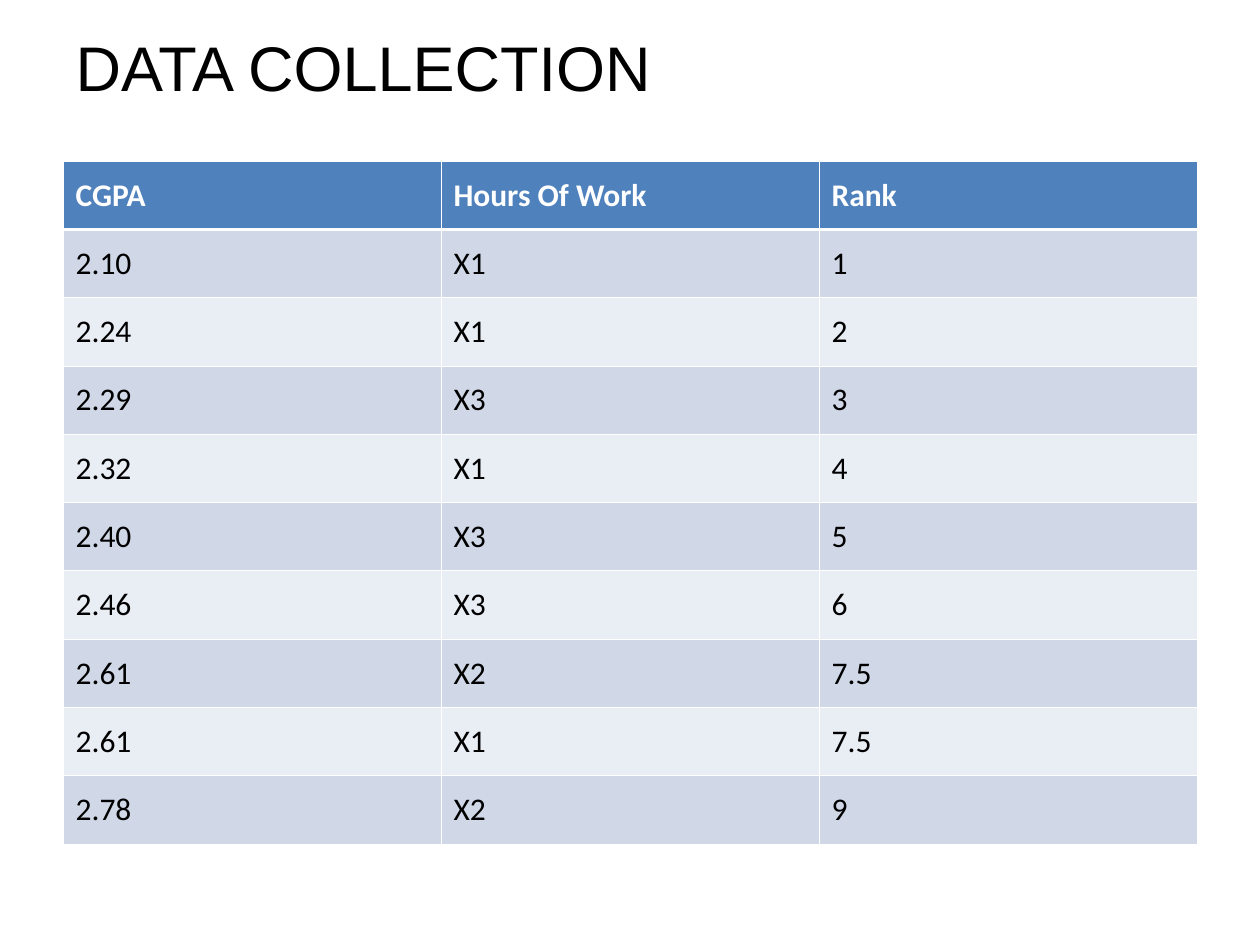
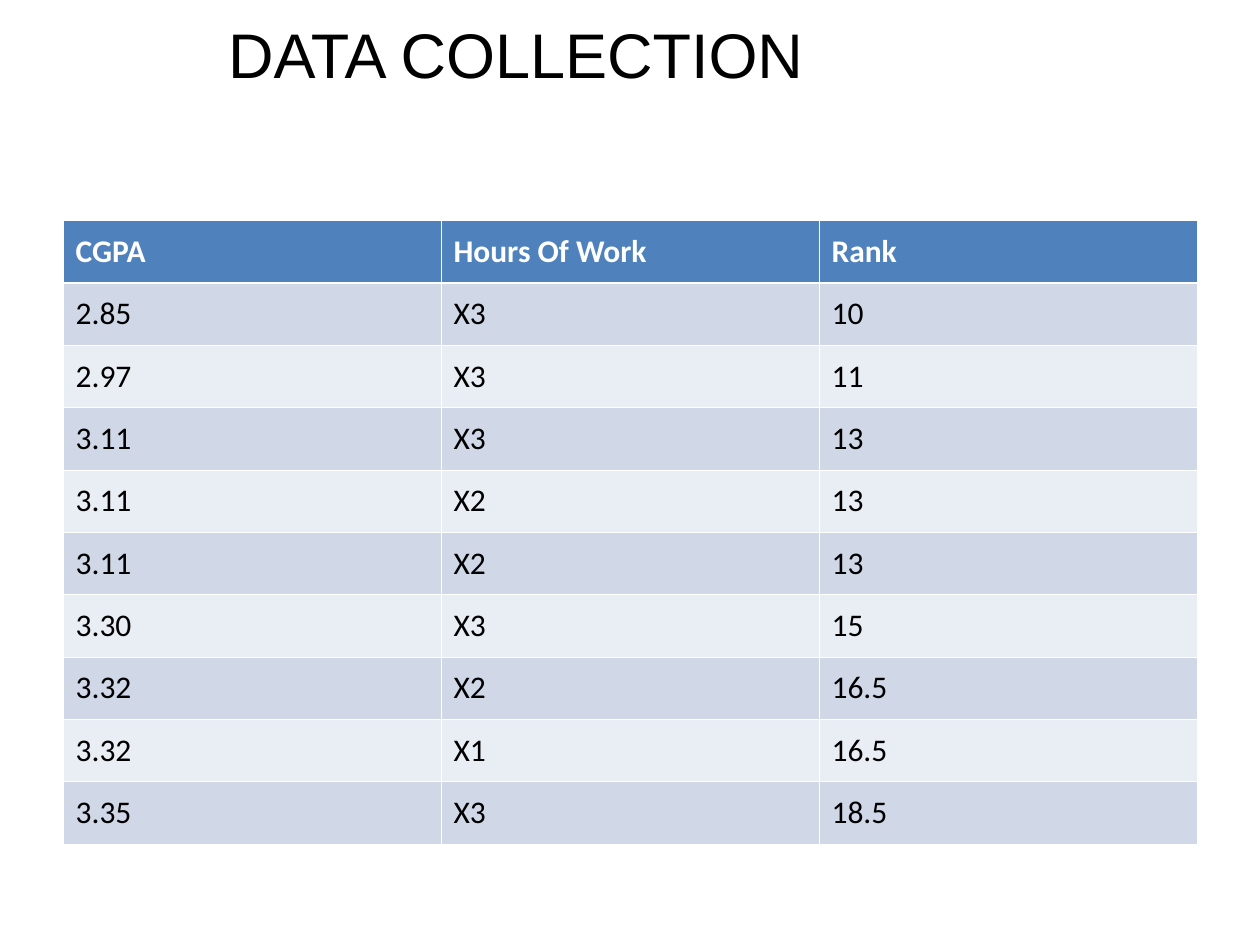
import dataclasses

import lxml.etree
import pptx
import pptx.dml.color
import pptx.enum.text
import pptx.oxml.ns
import pptx.util

Inches = pptx.util.Inches


@dataclasses.dataclass(frozen=True)
class Theme:
    header_fill: str = "4F81BD"
    band_fills: tuple = ("D0D8E8", "E9EDF4")
    rule: str = "FFFFFF"
    header_text: str = "FFFFFF"
    text: str = "000000"
    title_font: str = "Arial"
    table_font: str = "Calibri"
    title_size: float = 36
    table_size: float = 18
    thin_rule: float = 0.45
    header_rule: float = 1.47


@dataclasses.dataclass(frozen=True)
class Box:
    left: float
    top: float
    width: float
    height: float

    def lengths(self):
        return [Inches(value) for value in dataclasses.astuple(self)]


THEME = Theme()
TITLE = "DATA COLLECTION"
HEADINGS = ("CGPA", "Hours Of Work", "Rank")
LOWER_RANKS = [
    ("2.10", "X1", "1"),
    ("2.24", "X1", "2"),
    ("2.29", "X3", "3"),
    ("2.32", "X1", "4"),
    ("2.40", "X3", "5"),
    ("2.46", "X3", "6"),
    ("2.61", "X2", "7.5"),
    ("2.61", "X1", "7.5"),
    ("2.78", "X2", "9"),
]
UPPER_RANKS = [
    ("2.85", "X3", "10"),
    ("2.97", "X3", "11"),
    ("3.11", "X3", "13"),
    ("3.11", "X2", "13"),
    ("3.11", "X2", "13"),
    ("3.30", "X3", "15"),
    ("3.32", "X2", "16.5"),
    ("3.32", "X1", "16.5"),
    ("3.35", "X3", "18.5"),
]


def color(value):
    return pptx.dml.color.RGBColor.from_string(value)


def format_text(text_frame, font_name, size, text_color, bold=False):
    for paragraph in text_frame.paragraphs:
        paragraph.alignment = pptx.enum.text.PP_ALIGN.LEFT
        for run in paragraph.runs:
            run.font.name = font_name
            run.font.size = pptx.util.Pt(size)
            run.font.bold = bold
            run.font.color.rgb = color(text_color)


def add_title(slide, box):
    title = slide.shapes.title
    title.left, title.top, title.width, title.height = box.lengths()
    text_frame = title.text_frame
    text_frame.text = TITLE
    text_frame.vertical_anchor = pptx.enum.text.MSO_ANCHOR.MIDDLE
    format_text(text_frame, THEME.title_font, THEME.title_size, THEME.text)


def set_borders(cell, row_index):
    """Draw thin rules, with a heavier one between header and body."""
    top = THEME.header_rule if row_index == 1 else THEME.thin_rule
    bottom = THEME.header_rule if row_index == 0 else THEME.thin_rule
    widths = {"L": THEME.thin_rule, "R": THEME.thin_rule, "T": top, "B": bottom}
    qn = pptx.oxml.ns.qn
    properties = cell._tc.get_or_add_tcPr()
    for side, width in widths.items():
        line = lxml.etree.SubElement(
            properties, qn(f"a:ln{side}"), w=str(int(pptx.util.Pt(width)))
        )
        fill = lxml.etree.SubElement(line, qn("a:solidFill"))
        lxml.etree.SubElement(fill, qn("a:srgbClr"), val=THEME.rule)


def format_cell(cell, row_index):
    is_header = row_index == 0
    set_borders(cell, row_index)
    cell.fill.solid()
    band_fill = THEME.band_fills[(row_index - 1) % len(THEME.band_fills)]
    cell.fill.fore_color.rgb = color(THEME.header_fill if is_header else band_fill)
    cell.vertical_anchor = pptx.enum.text.MSO_ANCHOR.MIDDLE
    text_color = THEME.header_text if is_header else THEME.text
    format_text(
        cell.text_frame, THEME.table_font, THEME.table_size, text_color, is_header
    )


def add_rank_table(slide, box, records):
    rows = [HEADINGS, *records]
    table = slide.shapes.add_table(len(rows), len(HEADINGS), *box.lengths()).table
    table.horz_banding = False
    for row_index, values in enumerate(rows):
        for column_index, value in enumerate(values):
            cell = table.cell(row_index, column_index)
            cell.text_frame.text = value
            format_cell(cell, row_index)


def add_data_slide(presentation, title_box, table_box, records):
    title_only = presentation.slide_layouts[5]
    slide = presentation.slides.add_slide(title_only)
    add_title(slide, title_box)
    add_rank_table(slide, table_box, records)


def main():
    presentation = pptx.Presentation()
    presentation.slide_width = Inches(10)
    presentation.slide_height = Inches(7.5)
    add_data_slide(
        presentation, Box(0.5, 0.21, 9, 0.64), Box(0.5, 1.28, 9, 5.42), LOWER_RANKS
    )
    add_data_slide(
        presentation, Box(1.71, 0.08, 8.17, 0.68), Box(0.5, 1.75, 9, 4.95), UPPER_RANKS
    )
    presentation.save("out.pptx")


if __name__ == "__main__":
    main()
